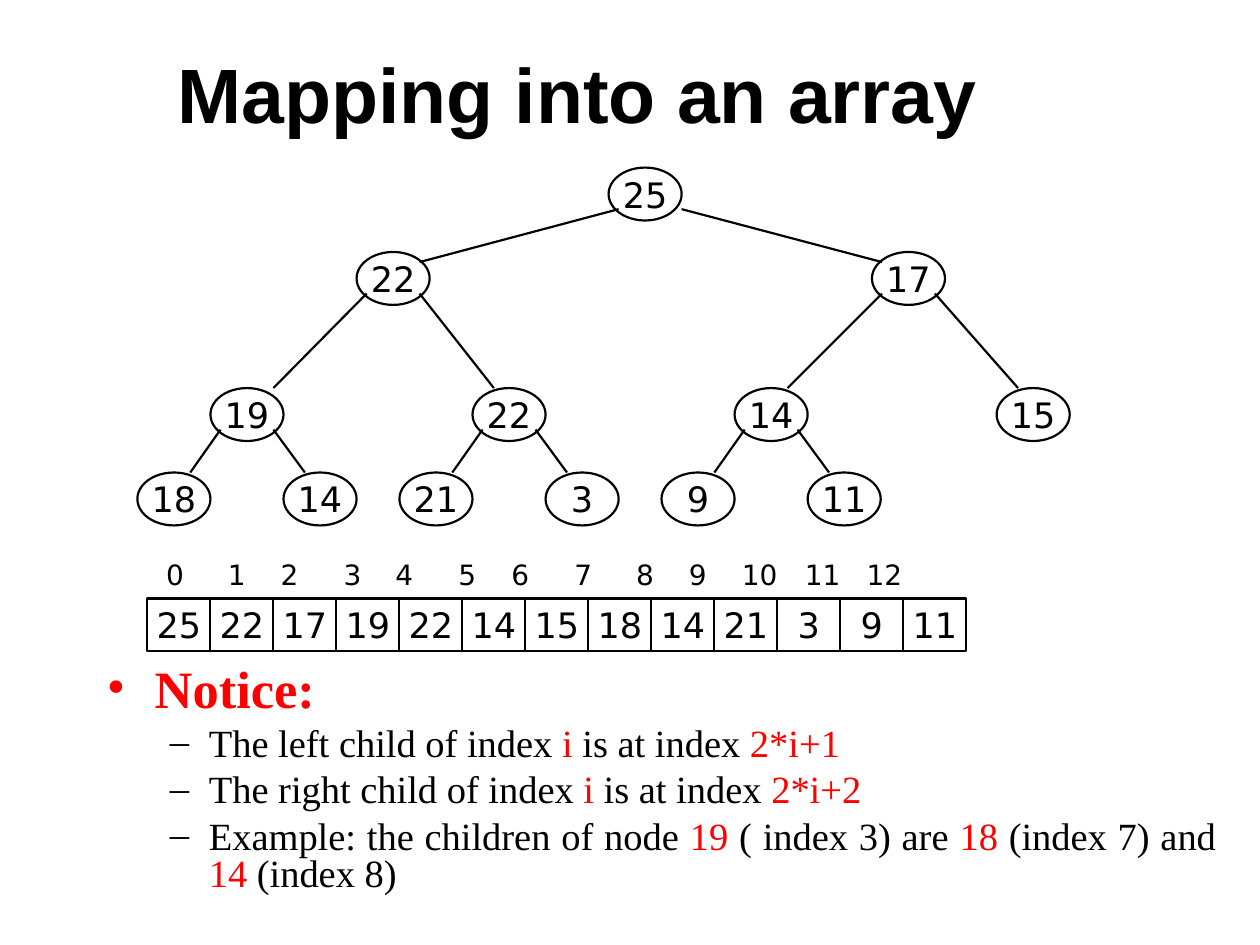
import pptx
import pptx.util
import pptx.dml.color
import pptx.enum.shapes
import pptx.enum.text
import pptx.oxml.ns
from lxml import etree

Inches, Pt = pptx.util.Inches, pptx.util.Pt
SHAPE = pptx.enum.shapes.MSO_SHAPE
ALIGN = pptx.enum.text.PP_ALIGN
MIDDLE = pptx.enum.text.MSO_ANCHOR.MIDDLE
qn = pptx.oxml.ns.qn

# Content
COLORS = {"ink": "000000", "accent": "FF0000"}
TITLE = "Mapping into an array"
HEAP = [25, 22, 17, 19, 22, 14, 15, 18, 14, 21, 3, 9, 11]
# Each rule is a list of pieces; every second piece is highlighted
RULES = [
    ["The left child of index", " i ", "is at index", " 2*i+1"],
    ["The right child of index ", "i", " is at index ", "2*i+2"],
    ["Example: the children of node ", "19", " ( index 3) are ", "18 ",
     "(index 7) and ", "14 ", "(index 8)"],
]

# Layout in inches
NODE_W, NODE_H = 0.58, 0.42
CELL_W, CELL_LEFT, CELL_TOP = 0.5, 1.17, 4.75
LEVEL_TOPS = [1.33, 2, 3.08, 3.75]
BOTTOM_PARENTS = [1.67 + 2.08 * i for i in range(4)]
NODE_LEFTS = [4.83, 2.83, 6.92] + BOTTOM_PARENTS + [
    left + side for left in BOTTOM_PARENTS[:3] for side in (-0.58, 0.58)]
# Where each edge meets its child, measured from the child's left side
EDGE_ENDS = [0.5, 0.08, 0.5, 0.17] + [0.42, 0.17] * 4
INDEX_CENTERS = [0.21, 0.7, 1.12, 1.62, 2.03, 2.53, 2.95,
                 3.45, 3.94, 4.36, 4.85, 5.35, 5.84]


def rgb(name):
    return pptx.dml.color.RGBColor.from_string(COLORS[name])


def write(paragraph, text, size=20, font="DejaVu Sans", color="ink",
          bold=False, align=ALIGN.CENTER):
    paragraph.alignment = align
    run = paragraph.add_run()
    run.text = text
    run.font.size, run.font.name, run.font.bold = Pt(size), font, bold
    run.font.color.rgb = rgb(color)


def box(parent, kind, left, top, width, value):
    shape = parent.shapes.add_shape(kind, Inches(left), Inches(top),
                                    Inches(width), Inches(NODE_H))
    shape.shadow.inherit = False
    shape.fill.background()
    shape.line.color.rgb = rgb("ink")
    shape.line.width = Pt(1.25)
    shape.text_frame.word_wrap = False
    shape.text_frame.vertical_anchor = MIDDLE
    write(shape.text_frame.paragraphs[0], str(value))


def edge(parent, x1, y1, x2, y2):
    line = parent.shapes.add_connector(
        pptx.enum.shapes.MSO_CONNECTOR.STRAIGHT,
        Inches(x1), Inches(y1), Inches(x2), Inches(y2))
    line.line.color.rgb = rgb("ink")
    line.line.width = Pt(1.25)
    etree.SubElement(line._element.spPr, qn("a:effectLst"))


def bullet(paragraph, char, color, margin, hang, before):
    paragraph.line_spacing = 0.8
    paragraph.space_before = Pt(before)
    props = paragraph._p.get_or_add_pPr()
    props.set("marL", str(Inches(margin)))
    props.set("indent", str(-Inches(hang)))
    tint = etree.SubElement(props, qn("a:buClr"))
    etree.SubElement(tint, qn("a:srgbClr"), val=COLORS[color])
    etree.SubElement(props, qn("a:buFont"), typeface="Times New Roman")
    etree.SubElement(props, qn("a:buChar"), char=char)


deck = pptx.Presentation()
deck.slide_width, deck.slide_height = Inches(10), Inches(7.5)
slide = deck.slides.add_slide(deck.slide_layouts[5])

# Title
title = slide.shapes.title
title.left, title.top = Inches(0.5), Inches(0.3)
title.width, title.height = Inches(8.17), Inches(0.87)
title.text_frame.auto_size = pptx.enum.text.MSO_AUTO_SIZE.NONE
title.text_frame.vertical_anchor = MIDDLE
write(title.text_frame.paragraphs[0], TITLE, size=44, font="Arial", bold=True)

# Notice
notice = slide.shapes.add_textbox(Inches(0.75), Inches(5.25),
                                  Inches(9), Inches(2.08)).text_frame
notice.word_wrap = True
heading = notice.paragraphs[0]
write(heading, "Notice:", size=30, font="Times New Roman", color="accent",
      bold=True, align=ALIGN.JUSTIFY)
bullet(heading, "•", "accent", 0.38, 0.38, 7.5)
for pieces in RULES:
    rule = notice.add_paragraph()
    rule.level = 1
    for i, piece in enumerate(pieces):
        write(rule, piece, size=22, font="Times New Roman",
              color="accent" if i % 2 else "ink", align=ALIGN.JUSTIFY)
    bullet(rule, "–", "ink", 0.81, 0.31, 5.5)

# Heap tree: the parent of node i is node (i - 1) // 2
tree = slide.shapes.add_group_shape()
for i, value in enumerate(HEAP):
    level = (i + 1).bit_length() - 1
    left, top = NODE_LEFTS[i], LEVEL_TOPS[level]
    box(tree, SHAPE.OVAL, left, top, NODE_W, value)
    if i:
        is_left = i % 2 == 1
        start = 0.08 if is_left else (0.58 if level == 1 else 0.5)
        edge(tree, NODE_LEFTS[(i - 1) // 2] + start,
             LEVEL_TOPS[level - 1] + 0.33,
             left + EDGE_ENDS[i - 1], top + (0.08 if level == 1 else 0))

# Array cells
array = slide.shapes.add_group_shape()
for i, value in enumerate(HEAP):
    box(array, SHAPE.RECTANGLE, CELL_LEFT + i * CELL_W, CELL_TOP, CELL_W, value)

# Array indices on centred tab stops
indices = array.shapes.add_textbox(Inches(1.08), Inches(4.38),
                                   Inches(6.92), Inches(0.37)).text_frame
indices.word_wrap = True
index_row = indices.paragraphs[0]
write(index_row, "".join(f"\t{i}" for i in range(len(HEAP))), size=16,
      align=ALIGN.LEFT)
index_row.space_before = Pt(10)
stops = etree.SubElement(index_row._p.get_or_add_pPr(), qn("a:tabLst"))
for center in INDEX_CENTERS:
    etree.SubElement(stops, qn("a:tab"), pos=str(Inches(center)), algn="ctr")

deck.save("out.pptx")
